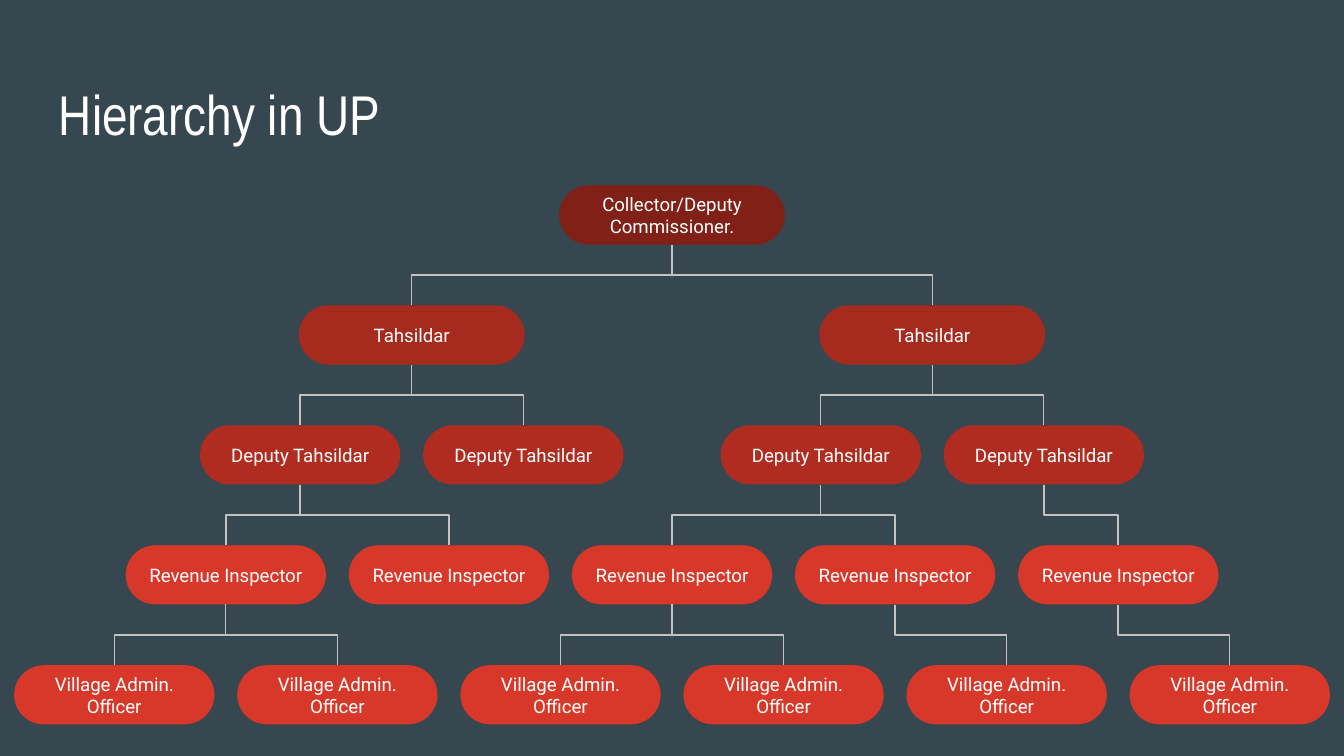
"""Build the slide with the tree of revenue officers in UP."""
from lxml import etree
from pptx import Presentation
from pptx.dml.color import RGBColor
from pptx.enum.shapes import MSO_CONNECTOR, MSO_SHAPE
from pptx.enum.text import MSO_ANCHOR, PP_ALIGN
from pptx.oxml.ns import qn
from pptx.util import Inches, Pt

ELBOW = MSO_CONNECTOR.ELBOW
PILL = MSO_SHAPE.ROUNDED_RECTANGLE
MIDDLE = MSO_ANCHOR.MIDDLE
CENTER = PP_ALIGN.CENTER

SLATE = RGBColor(0x37, 0x47, 0x4F)
WHITE = RGBColor(0xFF, 0xFF, 0xFF)
GREY = RGBColor(0xC2, 0xC2, 0xC2)
MAROON = RGBColor(0x80, 0x20, 0x17)
BRICK = RGBColor(0xA7, 0x2A, 0x1E)
CRIMSON = RGBColor(0xB0, 0x2C, 0x20)
RED = RGBColor(0xD8, 0x38, 0x29)

presentation = Presentation()
presentation.slide_width = WIDTH = Inches(10)
presentation.slide_height = WIDTH * 9 // 16
slide = presentation.slides.add_slide(presentation.slide_layouts[6])
slide.background.fill.solid()
slide.background.fill.fore_color.rgb = SLATE

COLUMN = Inches(1.66)
FIRST_ROW = Inches(1.38)
ROW = (Inches(4.95) - FIRST_ROW) / 4
PILL_HEIGHT = Inches(0.44)
WIDE, NARROW = Inches(1.68), Inches(1.49)
MARGIN = Inches(0.1)

# Each member is (columns from the slide centre, index of its parent one level up).
LEVELS = [
    ("Collector/Deputy Commissioner.", WIDE, MAROON, [(0, None)]),
    ("Tahsildar", WIDE, BRICK, [(-7 / 6, 0), (7 / 6, 0)]),
    ("Deputy Tahsildar", NARROW, CRIMSON,
     [(-5 / 3, 0), (-2 / 3, 0), (2 / 3, 1), (5 / 3, 1)]),
    ("Revenue Inspector", NARROW, RED,
     [(-2, 0), (-1, 0), (0, 2), (1, 2), (2, 3)]),
    ("Village Admin. Officer", NARROW, RED,
     [(-2.5, 0), (-1.5, 0), (-0.5, 2), (0.5, 2), (1.5, 3), (2.5, 4)]),
]


def write(shape, text, font_name, size):
    """Put one white paragraph in the shape and return it."""
    frame = shape.text_frame
    frame.word_wrap = True
    frame.margin_left = frame.margin_right = MARGIN
    frame.margin_top = frame.margin_bottom = MARGIN
    paragraph = frame.paragraphs[0]
    paragraph.text = text
    paragraph.font.name = font_name
    paragraph.font.size = Pt(size)
    paragraph.font.color.rgb = WHITE
    return paragraph


def add_branch(parent_x, child_x, top, bottom):
    """Draw an elbow that leaves downward: a sideways elbow turned 90 degrees."""
    middle_x, middle_y = (parent_x + child_x) / 2, (top + bottom) / 2
    half_drop, half_reach = (bottom - top) / 2, (parent_x - child_x) / 2
    branch = slide.shapes.add_connector(
        ELBOW,
        round(middle_x - half_drop), round(middle_y - half_reach),
        round(middle_x + half_drop), round(middle_y + half_reach))
    branch.line.color.rgb = GREY
    branch.line.width = Pt(0.75)
    properties = branch._element.spPr
    properties.find(qn("a:xfrm")).set("rot", str(90 * 60000))
    etree.SubElement(properties, qn("a:effectLst"))


title = slide.shapes.add_textbox(
    Inches(0.34), Inches(0.49), Inches(9.32), Inches(0.63))
write(title, "Hierarchy in UP", "Arial Narrow", 30)

parent_centers = []
for level, (label, pill_width, color, members) in enumerate(LEVELS):
    top = FIRST_ROW + level * ROW
    centers = [WIDTH / 2 + offset * COLUMN for offset, _ in members]
    for center, (_, parent) in zip(centers, members):
        if parent is not None:
            add_branch(parent_centers[parent], center, top - ROW + PILL_HEIGHT, top)
        pill = slide.shapes.add_shape(
            PILL, round(center - pill_width / 2), round(top), pill_width, PILL_HEIGHT)
        pill.adjustments[0] = 0.5
        pill.shadow.inherit = False
        pill.fill.solid()
        pill.fill.fore_color.rgb = color
        pill.line.fill.background()
        pill.text_frame.vertical_anchor = MIDDLE
        write(pill, label, "Roboto", 10).alignment = CENTER
    parent_centers = centers

presentation.save("out.pptx")
